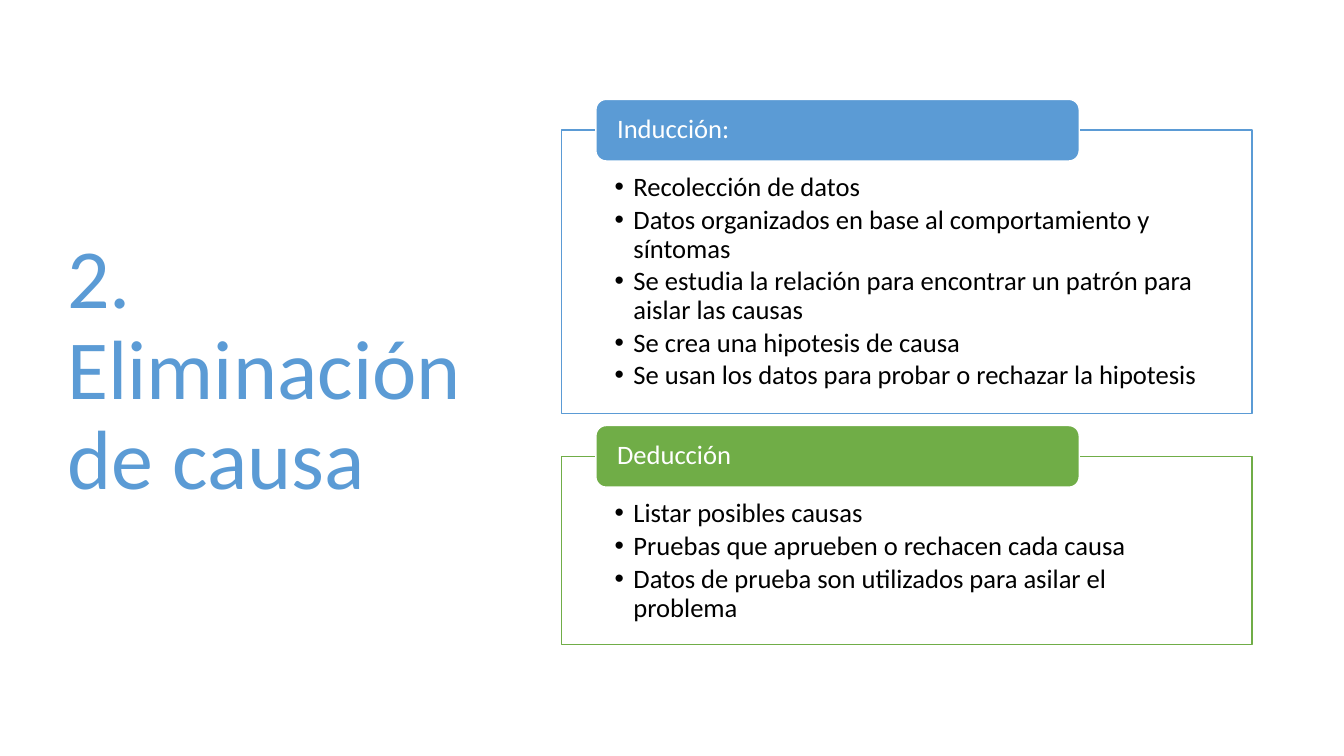
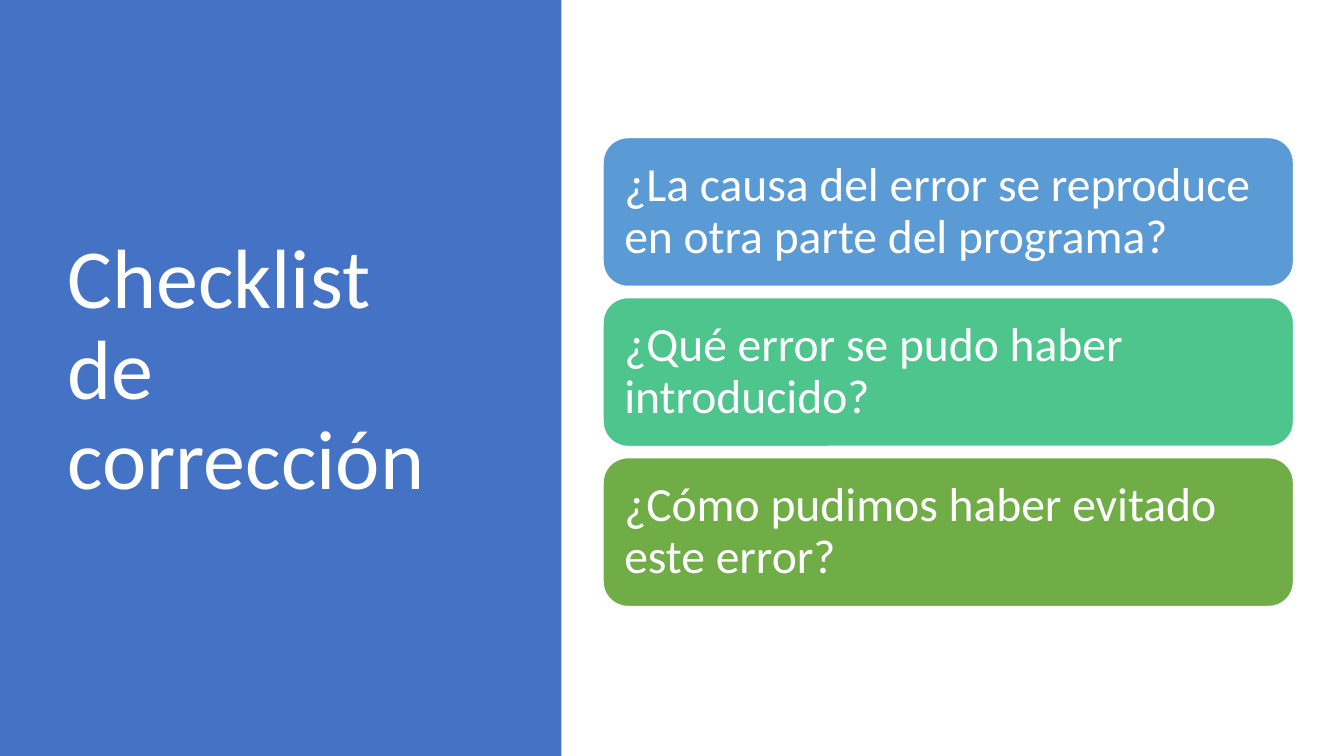
from lxml.etree import SubElement
from pptx import Presentation
from pptx.dml.color import RGBColor
from pptx.enum.shapes import MSO_SHAPE
from pptx.enum.text import MSO_ANCHOR, MSO_AUTO_SIZE, PP_ALIGN
from pptx.oxml.ns import qn
from pptx.util import Pt

COLORS = {"white": "FFFFFF", "black": "000000", "blue": "5B9BD5",
          "band": "4472C4", "teal": "4DC58D", "green": "70AD47"}
FONT = "Calibri"
SLIDE_W, SLIDE_H = 960, 540
TITLE_BOX = (41, 49, 299.5, 433.5)
BAND_W = 401


def rgb(name):
    """Return the named colour."""
    return RGBColor.from_string(COLORS[name])


def write(sp, texts, *, size, color, insets=(7.2, 3.6, 7.2, 3.6),
          anchor=MSO_ANCHOR.MIDDLE, after=0, bullet_indent=0):
    """Fill a shape with left-aligned paragraphs in one format."""
    tf = sp.text_frame
    tf.word_wrap = True
    tf.auto_size = MSO_AUTO_SIZE.NONE
    tf.vertical_anchor = anchor
    tf.margin_left, tf.margin_top, tf.margin_right, tf.margin_bottom = map(Pt, insets)
    for i, text in enumerate(texts):
        p = tf.add_paragraph() if i else tf.paragraphs[0]
        p.alignment = PP_ALIGN.LEFT
        p.line_spacing = 0.9
        p.space_before, p.space_after = Pt(0), Pt(after)
        r = p.add_run()
        r.text = text
        r.font.name, r.font.size = FONT, Pt(size)
        r.font.color.rgb = rgb(color)
        if bullet_indent:
            pPr = p._p.get_or_add_pPr()
            pPr.set("marL", str(Pt(bullet_indent)))
            pPr.set("indent", str(-Pt(bullet_indent)))
            SubElement(pPr, qn("a:buFont")).set("typeface", "Arial")
            SubElement(pPr, qn("a:buChar")).set("char", "•")


def add_block(s, kind, box, fill, line=None):
    """Add a flat filled shape, outlined if a line colour is given."""
    sp = s.shapes.add_shape(kind, *map(Pt, box))
    sp.shadow.inherit = False
    sp.fill.solid()
    sp.fill.fore_color.rgb = rgb(fill)
    if line:
        sp.line.color.rgb = rgb(line)
        sp.line.width = Pt(1)
    else:
        sp.line.fill.background()
    return sp


def add_titled_slide(prs, title, color):
    """Add a slide with the large title on the left."""
    s = prs.slides.add_slide(prs.slide_layouts[5])
    sp = s.shapes.title
    sp.left, sp.top, sp.width, sp.height = map(Pt, TITLE_BOX)
    write(sp, [title], size=60, color=color)
    return s


def add_panel(s, box, heading, items, color):
    """Add a framed bullet list with a heading tab over its top edge."""
    x, y, w, h = box
    tab_h = 44
    frame = add_block(s, MSO_SHAPE.RECTANGLE,
                      (x, y + tab_h / 2, w, h - tab_h / 2), "white", color)
    write(frame, items, size=19, color="black", insets=(38, 31, 38, 10.5),
          anchor=MSO_ANCHOR.TOP, after=2.85, bullet_indent=13.5)
    tab = add_block(s, MSO_SHAPE.ROUNDED_RECTANGLE,
                    (x + w * 0.05, y, w * 0.7, tab_h), color, "white")
    write(tab, [heading], size=19, color="white", insets=(13, 0, 13, 0))


def add_cards(s, box, cards, gap):
    """Stack equal rounded cards in the box."""
    x, y, w, h = box
    card_h = (h - gap * (len(cards) - 1)) / len(cards)
    for i, (text, color) in enumerate(cards):
        sp = add_block(s, MSO_SHAPE.ROUNDED_RECTANGLE,
                       (x, y + i * (card_h + gap), w, card_h), color, "white")
        write(sp, [text], size=34, color="white", insets=(10,) * 4)


def build_causes(prs):
    """Build the slide on elimination of causes."""
    s = add_titled_slide(prs, "2. Eliminación de causa", "blue")
    add_panel(s, (BAND_W, 71, 493.2, 224.5), "Inducción:", [
        "Recolección de datos",
        "Datos organizados en base al comportamiento y síntomas",
        "Se estudia la relación para encontrar un patrón para aislar las causas",
        "Se crea una hipotesis de causa",
        "Se usan los datos para probar o rechazar la hipotesis"], "blue")
    add_panel(s, (BAND_W, 304, 493.2, 156.5), "Deducción", [
        "Listar posibles causas",
        "Pruebas que aprueben o rechacen cada causa",
        "Datos de prueba son utilizados para asilar el problema"], "green")


def build_checklist(prs):
    """Build the correction checklist slide."""
    s = add_titled_slide(prs, "Checklist de corrección", "white")
    band = add_block(s, MSO_SHAPE.RECTANGLE, (0, 0, BAND_W, SLIDE_H), "band")
    s.shapes.title._element.addprevious(band._element)
    add_cards(s, (430.75, 98.25, 493.2, 335), [
        ("¿La causa del error se reproduce en otra parte del programa?", "blue"),
        ("¿Qué error se pudo haber introducido?", "teal"),
        ("¿Cómo pudimos haber evitado este error?", "green")], gap=8)


prs = Presentation()
prs.slide_width, prs.slide_height = Pt(SLIDE_W), Pt(SLIDE_H)
build_causes(prs)
build_checklist(prs)
prs.save("out.pptx")
